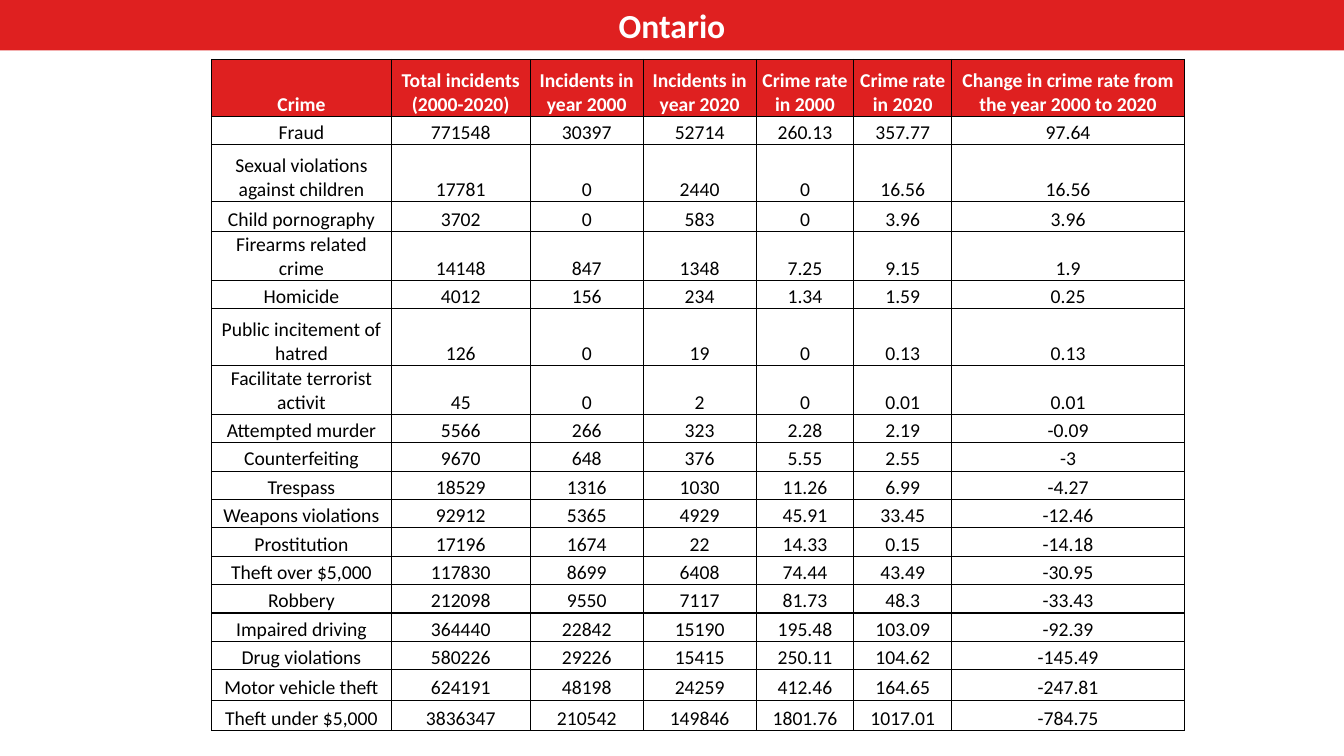
from dataclasses import dataclass

from pptx import Presentation
from pptx.dml.color import RGBColor
from pptx.enum.text import MSO_ANCHOR, PP_ALIGN
from pptx.oxml import parse_xml
from pptx.oxml.ns import nsdecls
from pptx.util import Inches, Pt


@dataclass(frozen=True)
class Theme:
    font: str = "Calibri"
    red: str = "DF2020"
    white: str = "FFFFFF"
    black: str = "000000"
    title_size: int = 24
    table_size: int = 14
    border_width: int = 1


class SlideBuilder:
    def __init__(self, slide, theme):
        self.slide = slide
        self.theme = theme

    def styled_text(self, frame, text, size, color, bold):
        frame.text = text
        for paragraph in frame.paragraphs:
            paragraph.alignment = PP_ALIGN.CENTER
            for run in paragraph.runs:
                run.font.name = self.theme.font
                run.font.size = Pt(size)
                run.font.bold = bold
                run.font.color.rgb = RGBColor.from_string(color)

    def title_banner(self, text, width, height):
        banner = self.slide.shapes.title
        banner.left, banner.top = Inches(0), Inches(0)
        banner.width, banner.height = Inches(width), Inches(height)
        banner.fill.solid()
        banner.fill.fore_color.rgb = RGBColor.from_string(self.theme.red)
        banner.text_frame.vertical_anchor = MSO_ANCHOR.MIDDLE
        self.styled_text(banner.text_frame, text, self.theme.title_size,
                         self.theme.white, True)

    def border(self, cell):
        properties = cell._tc.get_or_add_tcPr()
        for side in ("lnL", "lnR", "lnT", "lnB"):
            properties.append(parse_xml(
                f'<a:{side} {nsdecls("a")} w="{Pt(self.theme.border_width)}">'
                f'<a:solidFill><a:srgbClr val="{self.theme.black}"/></a:solidFill>'
                f'</a:{side}>'))

    def cell(self, cell, text, is_header):
        cell.margin_left = cell.margin_right = cell.margin_top = Inches(0.01)
        cell.margin_bottom = Inches(0)
        cell.vertical_anchor = MSO_ANCHOR.BOTTOM
        self.border(cell)
        if is_header:
            cell.fill.solid()
            cell.fill.fore_color.rgb = RGBColor.from_string(self.theme.red)
        else:
            cell.fill.background()
        color = self.theme.white if is_header else self.theme.black
        self.styled_text(cell.text_frame, text, self.theme.table_size, color, is_header)

    def table(self, records, left, top, height, column_widths, row_heights):
        table = self.slide.shapes.add_table(
            len(records), len(column_widths), Inches(left), Inches(top),
            Inches(sum(column_widths)), Inches(height)).table
        table.first_row = table.horz_banding = False
        for column, width in zip(table.columns, column_widths):
            column.width = Inches(width)
        stretch = height / sum(row_heights)
        for index, (row, row_height, record) in enumerate(
                zip(table.rows, row_heights, records)):
            row.height = Inches(row_height * stretch)
            for cell, text in zip(row.cells, record):
                self.cell(cell, text, index == 0)


SLIDE_WIDTH, SLIDE_HEIGHT = 13.33, 7.5
COLUMN_WIDTHS = [1.78, 1.38, 1.12, 1.12, 0.97, 0.97, 2.31]
SINGLE, ROOMY, TIGHT, DOUBLE = 0.28, 0.3, 0.48, 0.56
ROW_HEIGHTS = [DOUBLE, SINGLE, DOUBLE, ROOMY, TIGHT, SINGLE, DOUBLE, TIGHT,
               *[SINGLE] * 9, ROOMY, ROOMY]

CRIMES = [
    ("Crime", "Total incidents (2000-2020)", "Incidents in year 2000",
     "Incidents in year 2020", "Crime rate in 2000", "Crime rate in 2020",
     "Change in crime rate from the year 2000 to 2020"),
    ("Fraud", "771548", "30397", "52714", "260.13", "357.77", "97.64"),
    ("Sexual violations against children", "17781", "0", "2440", "0", "16.56", "16.56"),
    ("Child pornography", "3702", "0", "583", "0", "3.96", "3.96"),
    ("Firearms related crime", "14148", "847", "1348", "7.25", "9.15", "1.9"),
    ("Homicide", "4012", "156", "234", "1.34", "1.59", "0.25"),
    ("Public incitement of hatred", "126", "0", "19", "0", "0.13", "0.13"),
    ("Facilitate terrorist activit", "45", "0", "2", "0", "0.01", "0.01"),
    ("Attempted murder", "5566", "266", "323", "2.28", "2.19", "-0.09"),
    ("Counterfeiting", "9670", "648", "376", "5.55", "2.55", "-3"),
    ("Trespass", "18529", "1316", "1030", "11.26", "6.99", "-4.27"),
    ("Weapons violations", "92912", "5365", "4929", "45.91", "33.45", "-12.46"),
    ("Prostitution", "17196", "1674", "22", "14.33", "0.15", "-14.18"),
    ("Theft over $5,000", "117830", "8699", "6408", "74.44", "43.49", "-30.95"),
    ("Robbery", "212098", "9550", "7117", "81.73", "48.3", "-33.43"),
    ("Impaired driving", "364440", "22842", "15190", "195.48", "103.09", "-92.39"),
    ("Drug violations", "580226", "29226", "15415", "250.11", "104.62", "-145.49"),
    ("Motor vehicle theft", "624191", "48198", "24259", "412.46", "164.65", "-247.81"),
    ("Theft under $5,000", "3836347", "210542", "149846", "1801.76", "1017.01", "-784.75"),
]


def main():
    presentation = Presentation()
    presentation.slide_width = Inches(SLIDE_WIDTH)
    presentation.slide_height = Inches(SLIDE_HEIGHT)
    title_only = presentation.slide_layouts.get_by_name("Title Only")
    builder = SlideBuilder(presentation.slides.add_slide(title_only), Theme())
    builder.title_banner("Ontario", SLIDE_WIDTH, 0.5)
    builder.table(CRIMES, 2.1, 0.59, 6.66, COLUMN_WIDTHS, ROW_HEIGHTS)
    presentation.save("out.pptx")


if __name__ == "__main__":
    main()
